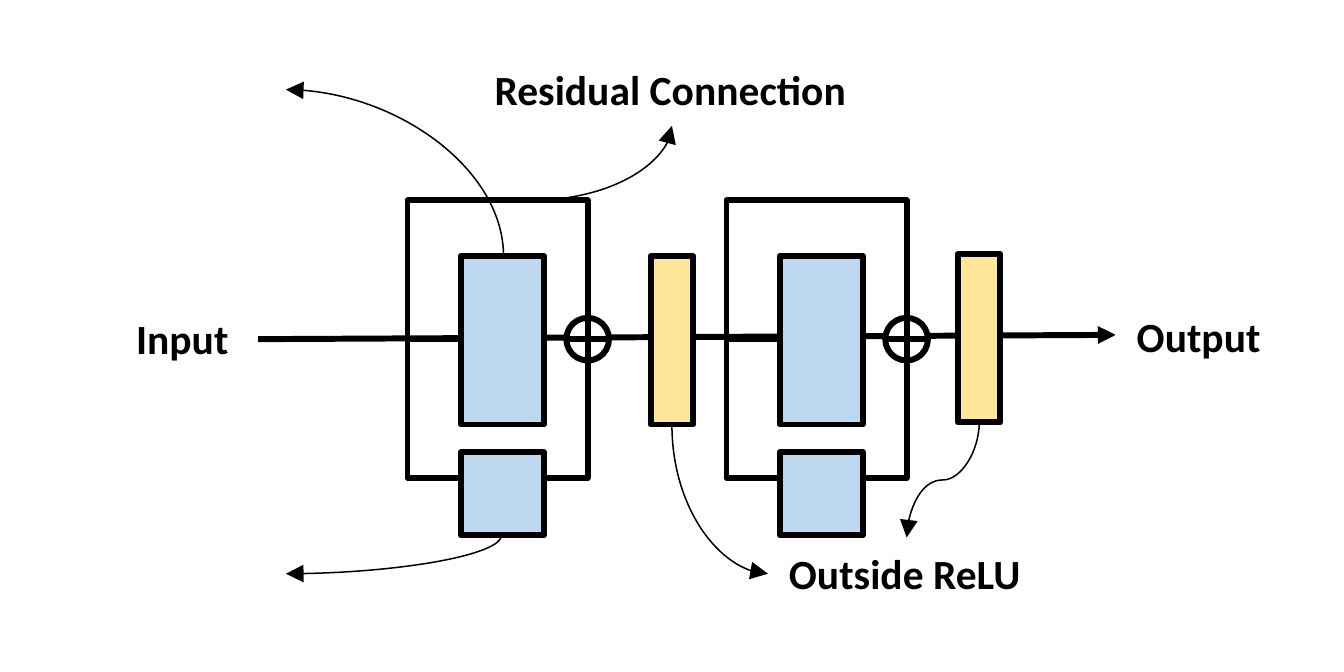
"""Residual network diagram: two residual blocks, each followed by an outside ReLU."""
from dataclasses import dataclass

from pptx import Presentation
from pptx.dml.color import RGBColor
from pptx.enum.shapes import MSO_CONNECTOR, MSO_SHAPE
from pptx.enum.text import MSO_AUTO_SIZE
from pptx.oxml.ns import qn
from pptx.util import Inches, Pt

COLORS = {"ink": "000000", "conv": "BDD7EE", "relu": "FFE699", "sum": "FFFFFF"}
COLS, ROWS = 63, 31.5
CELL = Inches(0.1)
THICK, THIN = 2, 0.5
MID = 15.9
BLOCK_LEFTS = (21.6, 36.55)
RADIUS = 1

prs = Presentation()
prs.slide_width, prs.slide_height = int(COLS * CELL), int(ROWS * CELL)
s = prs.slides.add_slide(prs.slide_layouts[6])


@dataclass(frozen=True)
class Node:
    left: float
    top: float
    width: float
    height: float
    fill: str
    kind: MSO_SHAPE = MSO_SHAPE.RECTANGLE


@dataclass(frozen=True)
class Wire:
    x1: float
    y1: float
    x2: float
    y2: float
    weight: float = THICK
    kind: MSO_CONNECTOR = MSO_CONNECTOR.STRAIGHT
    preset: str = "line"
    adjust: tuple[float, ...] = ()
    arrow: str = ""
    turn: int = 0


@dataclass(frozen=True)
class Label:
    text: str
    left: float
    top: float
    width: float


def grid(*cells: float) -> list[int]:
    return [round(c * CELL) for c in cells]


def color(name: str) -> RGBColor:
    return RGBColor.from_string(COLORS[name])


def draw_node(n: Node) -> None:
    sp = s.shapes.add_shape(n.kind, *grid(n.left, n.top, n.width, n.height))
    sp.shadow.inherit = False
    sp.fill.solid()
    sp.fill.fore_color.rgb = color(n.fill)
    sp.line.color.rgb = color("ink")
    sp.line.width = Pt(THICK)


def draw_wire(w: Wire) -> None:
    c = s.shapes.add_connector(w.kind, *grid(w.x1, w.y1, w.x2, w.y2))
    c.line.color.rgb = color("ink")
    c.line.width = Pt(w.weight)
    pr = c._element.spPr
    geom = pr.find(qn("a:prstGeom"))
    geom.set("prst", w.preset)
    guides = geom.find(qn("a:avLst"))
    for i, share in enumerate(w.adjust, 1):
        gd = guides.makeelement(qn("a:gd"), {"name": f"adj{i}", "fmla": f"val {round(share * 100000)}"})
        guides.append(gd)
    if w.turn:
        pr.find(qn("a:xfrm")).set("rot", str(w.turn * 60000))
    if w.arrow:
        ln = pr.find(qn("a:ln"))
        ln.append(ln.makeelement(qn(f"a:{w.arrow}"), {"type": "triangle"}))
    pr.append(pr.makeelement(qn("a:effectLst"), {}))


def draw_label(t: Label) -> None:
    tf = s.shapes.add_textbox(*grid(t.left, t.top, t.width, 3.4)).text_frame
    tf.word_wrap = False
    tf.auto_size = MSO_AUTO_SIZE.SHAPE_TO_FIT_TEXT
    p = tf.paragraphs[0]
    p.text = t.text
    p.font.name, p.font.size, p.font.bold = "Calibri", Pt(14), True
    p.font.color.rgb = color("ink")


def draw_loop(left: float, side: int) -> None:
    """Draw a skip path to the sum node, above (-1) or below (1) the block."""
    draw_wire(Wire(left, MID, left + 5.95, MID + side * RADIUS,
                   kind=MSO_CONNECTOR.ELBOW, preset="bentConnector4", adjust=(-0.42, 6.5)))


def draw_block(left: float) -> None:
    x = left + 5.95
    draw_node(Node(left, 12, 3.9, 7.9, "conv"))
    draw_node(Node(x - RADIUS, MID - RADIUS, 2 * RADIUS, 2 * RADIUS, "sum", MSO_SHAPE.OVAL))
    draw_wire(Wire(x - RADIUS, MID, x + RADIUS, MID))
    draw_wire(Wire(x, MID - RADIUS, x, MID + RADIUS))
    draw_loop(left, -1)
    draw_node(Node(left, 21.2, 3.9, 3.9, "conv"))


def curve(x1: float, y1: float, x2: float, y2: float, arrow: str = "headEnd",
          preset: str = "curvedConnector2", turn: int = 0) -> Wire:
    return Wire(x1, y1, x2, y2, THIN, MSO_CONNECTOR.CURVE, preset, arrow=arrow, turn=turn)


RELUS = (Node(30.5, 12, 2, 7.9, "relu"), Node(44.9, 11.9, 2, 7.9, "relu"))
CALLOUTS = (
    curve(13.4, 26.9, 23.5, 25.1),
    curve(13.4, 4.2, 23.6, 12),
    curve(24.8, 9.4, 31.5, 5.9, "tailEnd"),
    curve(41.5, 20.8, 46.9, 24.2, "tailEnd", "curvedConnector3", 90),
    curve(36, 26.9, 31.5, 19.9),
)
LABELS = (
    Label("Input", 5.4, 14.2, 6.4),
    Label("Output", 52.3, 14.1, 7.9),
    Label("Residual Connection", 22.2, 2.5, 18.6),
    Label("Outside ReLU", 36, 25.2, 13),
)

for left in BLOCK_LEFTS:
    draw_loop(left, 1)
draw_wire(Wire(12.1, MID, 52.3, 15.7, arrow="tailEnd"))
for left in BLOCK_LEFTS:
    draw_block(left)
for relu in RELUS:
    draw_node(relu)
for callout in CALLOUTS:
    draw_wire(callout)
for label in LABELS:
    draw_label(label)

prs.save("out.pptx")
